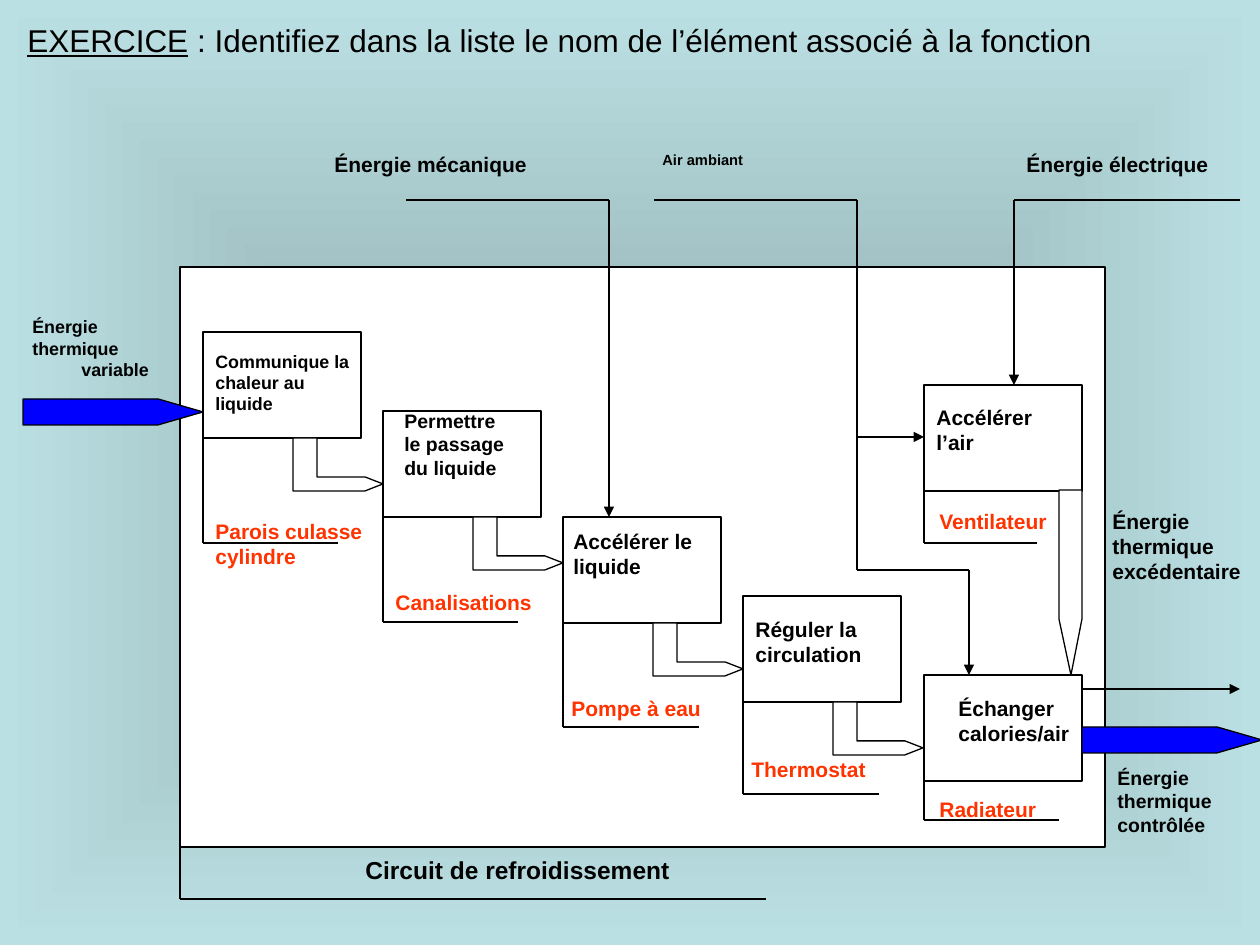
import pptx
import pptx.dml.color
import pptx.enum.shapes
import pptx.util
from lxml import etree

NS = "http://schemas.openxmlformats.org/drawingml/2006/main"
PX = 914400 / 126
BLACK, WHITE, BLUE, RED = "000000", "FFFFFF", "0000FF", "FF3300"

FRAME = (180, 267, 925, 580)
BOX_W, BOX_H = 158, 106
STEPS = [(203, 332), (383, 411), (563, 517), (743, 596), (924, 675)]
FAN = (924, 385)
# x, top, foot, end of each label bracket
FEET = [
    (203, 437, 543, 338), (383, 517, 622, 518), (563, 622, 727, 699),
    (743, 701, 794, 879), (924, 780, 820, 1059), (924, 490, 543, 1037),
    (180, 847, 899, 766),
]
ELBOW = [(180, 46), (162, 39), (114, 39), (114, 0), (90, 0), (90, 53), (162, 53)]
FLOW = [(0, 0), (135, 0), (180, 13), (135, 26), (0, 26)]
DOWN = [(1082, 490), (1082, 619), (1071, 675), (1059, 619), (1059, 490)]
# points of each route, then whether it ends in an arrowhead
ROUTES = [
    ([(406, 200), (609, 200), (609, 517)], True),
    ([(654, 200), (857, 200), (857, 570), (969, 570), (969, 675)], True),
    ([(857, 437), (924, 437)], True),
    ([(1240, 200), (1014, 200), (1014, 385)], True),
    ([(1082, 689), (1240, 689)], True),
] + [([(x, top), (x, foot), (end, foot)], False) for x, top, foot, end in FEET]

# text, left, top, width, height, size, colour
TEXTS = [
    ("Énergie mécanique", 322, 145, 271, 40, 12, BLACK),
    ("Énergie électrique", 1014, 145, 246, 49, 12, BLACK),
    ("Air ambiant", 650, 145, 181, 30, 8.4, BLACK),
    ("Communique la chaleur au liquide", 203, 344, 169, 79, 10.2, BLACK),
    ("Permettre le passage du liquide", 392, 403, 129, 100, 11.1, BLACK),
    ("Parois culasse cylindre", 203, 512, 180, 77, 12, RED),
    ("Canalisations", 383, 583, 180, 53, 12, RED),
    ("Accélérer le liquide", 561, 522, 149, 79, 12, BLACK),
    ("Pompe à eau", 559, 689, 156, 72, 12, RED),
    ("Réguler la circulation", 743, 610, 158, 106, 12, BLACK),
    ("Thermostat", 739, 750, 158, 53, 12, RED),
    ("Échanger calories/air", 946, 689, 158, 79, 12, BLACK),
    ("Radiateur", 927, 790, 158, 53, 12, RED),
    ("Accélérer l’air", 924, 398, 158, 106, 12, BLACK),
    ("Ventilateur", 927, 502, 158, 53, 12, RED),
    ("Énergie thermique excédentaire", 1100, 502, 155, 95, 12, BLACK),
    ("Énergie thermique contrôlée", 1105, 760, 155, 88, 11.1, BLACK),
    ("Circuit de refroidissement", 353, 849, 435, 53, 14, BLACK),
]
SOURCE = ("Énergie thermique", 20, 310, 154, 103, 10.2, BLACK)
TITLE = ("EXERCICE", 15, 15, 1121, 50, 18, BLACK)
REST = " : Identifiez dans la liste le nom de l’élément associé à la fonction"


def emu(*vals):
    return [round(v * PX) for v in vals]


def rgb(code):
    return pptx.dml.color.RGBColor.from_string(code)


def style(shape, fill, width=0.75):
    shape.shadow.inherit = False
    shape.fill.solid()
    shape.fill.fore_color.rgb = rgb(fill)
    shape.line.color.rgb = rgb(BLACK)
    shape.line.width = pptx.util.Pt(width)


def rect(shapes, place, width=0.75):
    kind = pptx.enum.shapes.MSO_SHAPE.RECTANGLE
    style(shapes.add_shape(kind, *emu(*place)), WHITE, width)


def outline(shapes, points, fill, dx=0, dy=0):
    pts = [(x + dx, y + dy) for x, y in points]
    path = shapes.build_freeform(*pts[0], scale=PX)
    path.add_line_segments(pts[1:], close=True)
    style(path.convert_to_shape(), fill)


def line(shapes, start, end, head):
    kind = pptx.enum.shapes.MSO_CONNECTOR.STRAIGHT
    wire = shapes.add_connector(kind, *emu(*start, *end))
    wire.line.color.rgb = rgb(BLACK)
    wire.line.width = pptx.util.Pt(0.75)
    if head:
        etree.SubElement(wire.line._get_or_add_ln(), f"{{{NS}}}tailEnd", type="triangle")
    etree.SubElement(wire._element.spPr, f"{{{NS}}}effectLst")


def write(para, text, size, color, **more):
    run = para.add_run()
    run.text = text
    form = {"name": "Arial", "size": pptx.util.Pt(size), "bold": True, **more}
    for key, val in form.items():
        setattr(run.font, key, val)
    run.font.color.rgb = rgb(color)


def label(shapes, text, x, y, w, h, size, color, **more):
    frame = shapes.add_textbox(*emu(x, y, w, h)).text_frame
    frame.word_wrap = True
    write(frame.paragraphs[0], text, size, color, **more)
    return frame


def backdrop(slide):
    fill = slide.background.fill
    fill.gradient()
    for stop, code in zip(fill.gradient_stops, ("8FABAE", "BBE0E3")):
        stop.color.rgb = rgb(code)
    lin = slide._element.find(f".//{{{NS}}}lin")
    path = etree.Element(f"{{{NS}}}path", path="rect")
    mid = dict.fromkeys("ltrb", "50000")
    etree.SubElement(path, f"{{{NS}}}fillToRect", mid)
    lin.getparent().replace(lin, path)


def main():
    """Build the cooling circuit exercise slide."""
    deck = pptx.Presentation()
    deck.slide_width, deck.slide_height = emu(1260, 945)
    slide = deck.slides.add_slide(deck.slide_layouts[6])
    shapes = slide.shapes
    backdrop(slide)

    rect(shapes, FRAME, 1.5)
    for x, y in STEPS + [FAN]:
        rect(shapes, (x, y, BOX_W, BOX_H))
    for x, y in STEPS[:-1]:
        outline(shapes, ELBOW, WHITE, x, y + BOX_H)
    for x, y in ((23, 399), (1082, 727)):
        outline(shapes, FLOW, BLUE, x, y)
    outline(shapes, DOWN, WHITE)
    for points, head in ROUTES:
        for n, (start, end) in enumerate(zip(points, points[1:]), 2):
            line(shapes, start, end, head and n == len(points))

    for item in TEXTS:
        label(shapes, *item)
    para = label(shapes, *SOURCE).add_paragraph()
    para._p.get_or_add_pPr().set("marL", str(emu(49)[0]))
    write(para, "variable", *SOURCE[5:])
    frame = label(shapes, *TITLE, bold=False, underline=True)
    write(frame.paragraphs[0], REST, *TITLE[5:], bold=False)
    deck.save("out.pptx")


if __name__ == "__main__":
    main()
